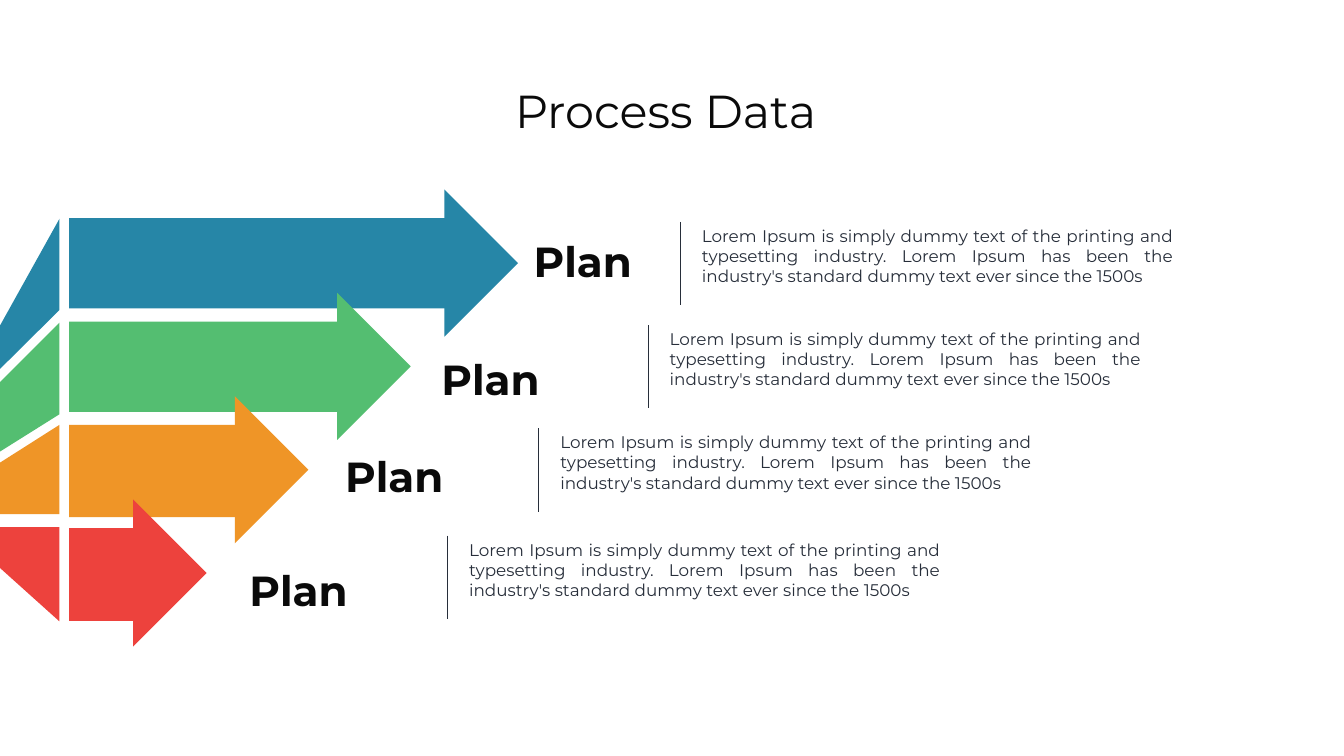
from collections import namedtuple
from dataclasses import dataclass

from lxml.etree import SubElement
from pptx import Presentation
from pptx.dml.color import RGBColor
from pptx.enum.shapes import MSO_CONNECTOR, MSO_SHAPE
from pptx.enum.text import MSO_ANCHOR, MSO_AUTO_SIZE, PP_ALIGN
from pptx.oxml.ns import qn
from pptx.util import Inches, Pt

Box = namedtuple("Box", "left top width height")
Fan = namedtuple("Fan", "right_top right_bottom left_bottom left_top")
Stage = namedtuple("Stage", "color fan shaft_height head_left label_left label_top rule_left rule_top")


@dataclass(frozen=True)
class Theme:
    font: str = "Montserrat"
    ink: str = "0A0A0A"
    body: str = "272E3A"
    title_size: int = 66
    label_size: int = 60
    body_size: int = 24
    rule_weight: float = 1.5


THEME = Theme()
SLIDE_WIDTH, SLIDE_HEIGHT = 26.67, 15
ROW_PITCH = 2.05
SHAFT_TOP, SHAFT_LEFT = 4.33, 1.37
HEAD_TOP, HEAD_WIDTH, HEAD_HEIGHT, HEAD_OVERLAP = 3.76, 1.46, 2.92, 0.3
FAN_WIDTH = 1.18
RULE_HEIGHT, RULE_GAP = 1.65, 0.33
LABEL_WIDTH, LABEL_HEIGHT = 2.8, 1.11
DETAIL_WIDTH, DETAIL_HEIGHT = 9.54, 1.31

TITLE = "Process Data "
LABEL = "Plan"
DETAIL = ("Lorem Ipsum is simply dummy text of the printing and typesetting industry. "
          "Lorem Ipsum has been the industry's standard dummy text ever since the 1500s")

STAGES = [
    Stage("2686A7", Fan(4.34, 6.15, 7.32, 6.46), 1.79, 8.82, 10.49, 4.63, 13.5, 4.4),
    Stage("54BE71", Fan(6.4, 8.22, 8.96, 7.58), 1.79, 6.69, 8.66, 6.96, 12.86, 6.45),
    Stage("EF9527", Fan(8.43, 10.2, 10.2, 9.18), 1.83, 4.66, 6.75, 8.89, 10.69, 8.5),
    Stage("ED423D", Fan(10.46, 12.33, 11.27, 10.46), 1.84, 2.64, 4.85, 11.16, 8.88, 10.63),
]


def place(box):
    return [Inches(length) for length in box]


def paint(shape, color):
    shape.shadow.inherit = False
    shape.fill.solid()
    shape.fill.fore_color.rgb = RGBColor.from_string(color)
    shape.line.fill.background()


def write(shape, text, size, color, align=PP_ALIGN.LEFT, bold=False):
    frame = shape.text_frame
    frame.word_wrap = True
    frame.text = text
    para = frame.paragraphs[0]
    para.alignment = align
    for span in para.runs:
        span.font.name = THEME.font
        span.font.size = Pt(size)
        span.font.bold = bold
        span.font.color.rgb = RGBColor.from_string(color)
    return frame


def add_polygon(shapes, points, color):
    start, *others = [place(point) for point in points]
    builder = shapes.build_freeform(*start)
    builder.add_line_segments(others, close=True)
    paint(builder.convert_to_shape(), color)


def add_title(page, box):
    title = page.shapes.title
    title.left, title.top, title.width, title.height = place(box)
    frame = write(title, TITLE, THEME.title_size, THEME.ink, PP_ALIGN.CENTER)
    frame.vertical_anchor = MSO_ANCHOR.MIDDLE
    frame.paragraphs[0].line_spacing = 0.9


def add_fan(page, stage):
    sides = (FAN_WIDTH, FAN_WIDTH, 0, 0)
    add_polygon(page.shapes, list(zip(sides, stage.fan)), stage.color)


def add_arrow(page, box, shaft_top, shaft_height, color):
    arrow = page.shapes.add_group_shape()
    right = box.left + box.width
    head_left = right - HEAD_WIDTH
    shaft = Box(box.left, shaft_top, head_left + HEAD_OVERLAP - box.left, shaft_height)
    paint(arrow.shapes.add_shape(MSO_SHAPE.RECTANGLE, *place(shaft)), color)
    head = [(head_left, box.top), (right, box.top + box.height / 2),
            (head_left, box.top + box.height)]
    add_polygon(arrow.shapes, head, color)


def add_text(page, box, text, size, color, align=PP_ALIGN.LEFT, bold=False):
    text_box = page.shapes.add_textbox(*place(box))
    frame = write(text_box, text, size, color, align, bold)
    frame.auto_size = MSO_AUTO_SIZE.SHAPE_TO_FIT_TEXT


def add_detail(page, box):
    left, top, width, height = box
    rule = page.shapes.add_connector(
        MSO_CONNECTOR.STRAIGHT, *place((left, top, left, top + height)))
    rule.line.color.rgb = RGBColor.from_string(THEME.body)
    rule.line.width = Pt(THEME.rule_weight)
    SubElement(rule._element.spPr, qn("a:effectLst"))
    text_area = Box(left + RULE_GAP, top + 0.02, width - RULE_GAP, DETAIL_HEIGHT)
    add_text(page, text_area, DETAIL, THEME.body_size, THEME.body, PP_ALIGN.JUSTIFY)


def main():
    deck = Presentation()
    deck.slide_width, deck.slide_height = Inches(SLIDE_WIDTH), Inches(SLIDE_HEIGHT)
    page = deck.slides.add_slide(deck.slide_layouts[5])
    add_title(page, Box(1.83, 0.8, 23, 2.9))
    for stage in STAGES:
        add_fan(page, stage)
    for row, stage in enumerate(STAGES):
        offset = row * ROW_PITCH
        arrow_width = stage.head_left + HEAD_WIDTH - SHAFT_LEFT
        arrow_box = Box(SHAFT_LEFT, HEAD_TOP + offset, arrow_width, HEAD_HEIGHT)
        add_arrow(page, arrow_box, SHAFT_TOP + offset, stage.shaft_height, stage.color)
    for stage in STAGES:
        label_box = Box(stage.label_left, stage.label_top, LABEL_WIDTH, LABEL_HEIGHT)
        add_text(page, label_box, LABEL, THEME.label_size, THEME.ink, bold=True)
        add_detail(page, Box(stage.rule_left, stage.rule_top,
                             RULE_GAP + DETAIL_WIDTH, RULE_HEIGHT))
    deck.save("out.pptx")


if __name__ == "__main__":
    main()
